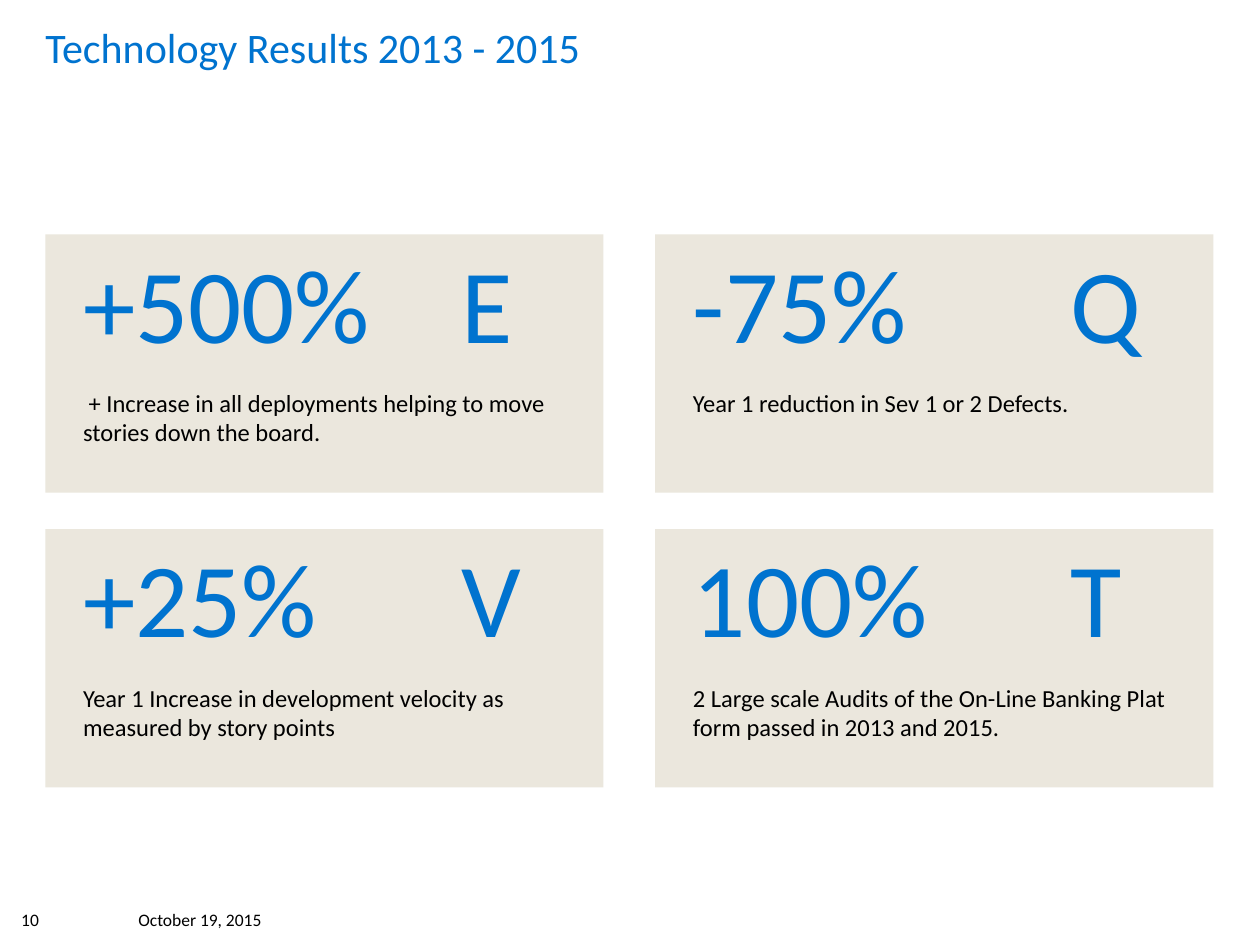
from dataclasses import dataclass

from lxml.etree import SubElement
from pptx import Presentation
from pptx.dml.color import RGBColor
from pptx.enum.shapes import MSO_SHAPE
from pptx.enum.text import MSO_ANCHOR, PP_ALIGN
from pptx.oxml.ns import qn
from pptx.util import Inches, Pt


@dataclass(frozen=True)
class Theme:
    """Colours, font and type sizes of the slide."""

    font: str = "Calibri"
    accent: RGBColor = RGBColor(0x00, 0x73, 0xCF)
    ink: RGBColor = RGBColor(0x00, 0x00, 0x00)
    panel: RGBColor = RGBColor(0xEB, 0xE7, 0xDD)
    title_size: int = 24
    figure_size: int = 60
    body_size: int = 14
    footer_size: int = 10


@dataclass(frozen=True)
class Grid:
    """Card grid, in inches."""

    left: float = 0.36
    top: float = 1.86
    width: float = 4.43
    height: float = 2.05
    column_gap: float = 0.41
    row_gap: float = 0.29

    def cell(self, column, row):
        """Return the left, top, width and height of a card."""
        left = self.left + column * (self.width + self.column_gap)
        top = self.top + row * (self.height + self.row_gap)
        return tuple(map(Inches, (left, top, self.width, self.height)))


THEME = Theme()
GRID = Grid()
CARDS = [
    [
        ("+500%", "E", " + Increase in all deployments helping to move stories down the board."),
        ("-75%", "Q", "Year 1 reduction in Sev 1 or 2 Defects."),
    ],
    [
        ("+25%", "V", "Year 1 Increase in development velocity as measured by story points"),
        ("100%", "T", "2 Large scale Audits of the On-Line Banking Plat form passed in 2013 and 2015."),
    ],
]


def add_run(paragraph, text, size, color):
    """Add one left-aligned, formatted run to a paragraph."""
    paragraph.alignment = PP_ALIGN.LEFT
    run = paragraph.add_run()
    run.text = text
    run.font.name = THEME.font
    run.font.size = Pt(size)
    run.font.color.rgb = color


def set_frame(frame, anchor, left, top, right, bottom):
    """Set wrapping, anchor and insets of a text frame."""
    frame.word_wrap = True
    frame.vertical_anchor = anchor
    frame.margin_left, frame.margin_right = Inches(left), Inches(right)
    frame.margin_top, frame.margin_bottom = Inches(top), Inches(bottom)


def set_tab_stop(paragraph, position):
    """Give a paragraph one left tab stop."""
    properties = paragraph._p.get_or_add_pPr()
    tabs = SubElement(properties, qn("a:tabLst"))
    SubElement(tabs, qn("a:tab"), pos=str(Inches(position)), algn="l")


def format_title(slide, text):
    """Place and fill the title placeholder."""
    title = slide.shapes.title
    title.left, title.top = Inches(GRID.left), Inches(0.12)
    title.width, title.height = Inches(2 * GRID.width + GRID.column_gap), Inches(0.89)
    set_frame(title.text_frame, MSO_ANCHOR.TOP, 0, 0.05, 0, 0.05)
    add_run(title.text_frame.paragraphs[0], text, THEME.title_size, THEME.accent)


def add_footer(slide, text, left, width):
    """Add a small text at the foot of the slide."""
    box = slide.shapes.add_textbox(Inches(left), Inches(7.17), Inches(width), Inches(0.25))
    set_frame(box.text_frame, MSO_ANCHOR.MIDDLE, 0.1, 0.05, 0.1, 0.05)
    add_run(box.text_frame.paragraphs[0], text, THEME.footer_size, THEME.ink)


def add_card(slide, column, row, figure, letter, description):
    """Add a result card with a figure, a letter and a description."""
    card = slide.shapes.add_shape(MSO_SHAPE.RECTANGLE, *GRID.cell(column, row))
    card.shadow.inherit = False
    card.fill.solid()
    card.fill.fore_color.rgb = THEME.panel
    card.line.fill.background()
    frame = card.text_frame
    set_frame(frame, MSO_ANCHOR.TOP, 0.3, 0.03, 0.3, 0)
    heading = frame.paragraphs[0]
    set_tab_stop(heading, 3)
    add_run(heading, f"{figure}\t{letter}", THEME.figure_size, THEME.accent)
    body = frame.add_paragraph()
    body.space_before = Pt(13.5)
    add_run(body, description, THEME.body_size, THEME.ink)


def main():
    """Build and save the slide."""
    presentation = Presentation()
    presentation.slide_width, presentation.slide_height = Inches(10), Inches(7.5)
    slide = presentation.slides.add_slide(presentation.slide_layouts.get_by_name("Title Only"))
    format_title(slide, "Technology Results 2013 - 2015")
    add_footer(slide, "10", 0.07, 0.5)
    add_footer(slide, "October 19, 2015", 1, 1.82)
    for row, cards in enumerate(CARDS):
        for column, card in enumerate(cards):
            add_card(slide, column, row, *card)
    presentation.save("out.pptx")


if __name__ == "__main__":
    main()
